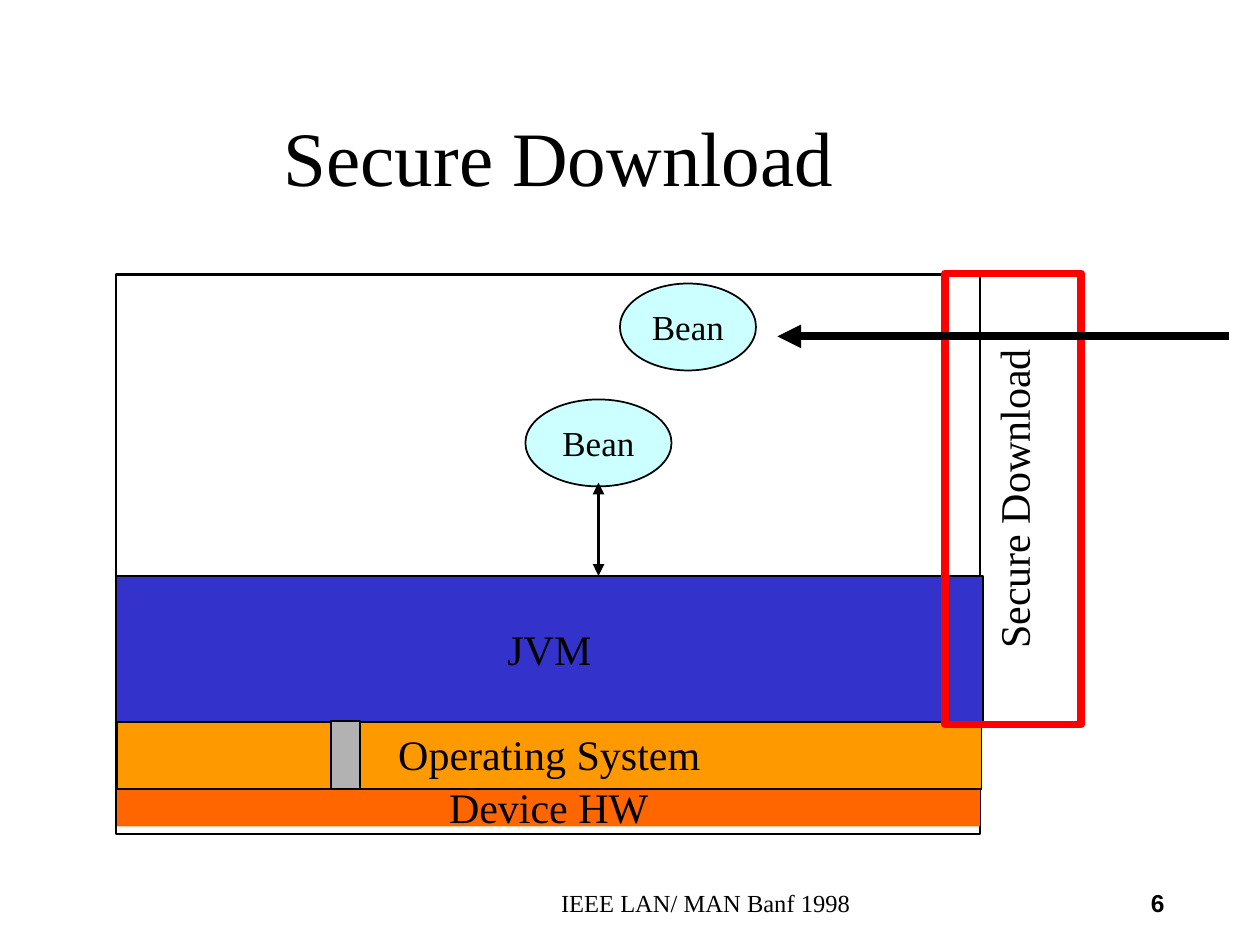
import pptx
import pptx.dml.color
import pptx.enum.shapes
import pptx.enum.text
import pptx.oxml.ns
import pptx.util
from lxml import etree

Inches, Pt = pptx.util.Inches, pptx.util.Pt
SHAPE = pptx.enum.shapes.MSO_SHAPE
ALIGN = pptx.enum.text.PP_ALIGN
ANCHOR = pptx.enum.text.MSO_ANCHOR
COLORS = {
    "black": "000000", "red": "FF0000", "hardware": "FF6600",
    "system": "FF9900", "jvm": "3333CC", "bean": "CCFFFF", "gray": "B2B2B2",
}


class SlideBuilder:
    """Holds the slide and its style, and draws each kind of element."""

    def __init__(self, s, font="Times New Roman"):
        self.s = s
        self.font = font

    def color(self, name):
        return pptx.dml.color.RGBColor.from_string(COLORS[name])

    def set_text(self, sp, text, size, anchor, align=ALIGN.CENTER, wrap=False,
                 font=None, bold=False, inset=0.1, spacing=None):
        tf = sp.text_frame
        tf.word_wrap = wrap
        tf.vertical_anchor = anchor
        tf.margin_left = tf.margin_right = Inches(inset)
        tf.margin_top = tf.margin_bottom = Inches(0.05)
        tf.text = text
        p = tf.paragraphs[0]
        p.alignment = align
        if spacing:
            p.line_spacing = spacing
        for r in p.runs:
            r.font.name = font or self.font
            r.font.size = Pt(size)
            r.font.bold = bold
            r.font.color.rgb = self.color("black")

    def text(self, box, text, size, anchor=ANCHOR.TOP, **style):
        sp = self.s.shapes.add_textbox(*map(Inches, box))
        self.set_text(sp, text, size, anchor, **style)

    def shape(self, box, text="", fill=None, line="black", width=1,
              kind=SHAPE.RECTANGLE, size=24, rotation=0):
        sp = self.s.shapes.add_shape(kind, *map(Inches, box))
        sp.shadow.inherit = False
        sp.rotation = rotation
        if fill:
            sp.fill.solid()
            sp.fill.fore_color.rgb = self.color(fill)
        else:
            sp.fill.background()
        if line:
            sp.line.color.rgb = self.color(line)
            sp.line.width = Pt(width)
        else:
            sp.line.fill.background()
        if text:
            self.set_text(sp, text, size, ANCHOR.MIDDLE)

    def arrow(self, start, end, width, heads=("tailEnd",)):
        cx = self.s.shapes.add_connector(
            pptx.enum.shapes.MSO_CONNECTOR.STRAIGHT, *map(Inches, start + end))
        cx.line.color.rgb = self.color("black")
        cx.line.width = Pt(width)
        qn = pptx.oxml.ns.qn
        ln = cx.element.spPr.find(qn("a:ln"))
        for head in heads:
            etree.SubElement(ln, qn("a:" + head), type="triangle")
        etree.SubElement(cx.element.spPr, qn("a:effectLst"))


def main():
    prs = pptx.Presentation()
    prs.slide_width, prs.slide_height = Inches(10), Inches(7.5)
    b = SlideBuilder(prs.slides.add_slide(prs.slide_layouts[6]))

    b.text((8.67, 7, 0.67, 0.33), "6", 14, ANCHOR.MIDDLE,
           align=ALIGN.RIGHT, font="Arial", bold=True)
    b.text((3.25, 7, 4.75, 0.5), "IEEE LAN/ MAN Banf 1998 ", 14, wrap=True)
    b.text((0.18, 0.61, 8.51, 1.06), "Secure Download", 44, ANCHOR.BOTTOM,
           wrap=True, inset=0.05, spacing=0.93)

    b.shape((0.92, 2.18, 6.86, 4.44), width=1.5)
    b.shape((0.93, 6.25, 6.85, 0.31), "Device HW", "hardware", line=None)
    b.shape((0.93, 5.7, 6.86, 0.56), "Operating System", "system")
    b.shape((0.92, 4.57, 6.88, 1.16), "JVM", "jvm")
    for bean in ((4.92, 2.25, 1.08, 0.69), (4.17, 3.17, 1.16, 0.69)):
        b.shape(bean, "Bean", "bean", kind=SHAPE.OVAL, size=20)
    b.arrow((4.75, 3.83), (4.75, 4.57), 2.25, ("headEnd", "tailEnd"))
    b.shape((2.63, 5.72, 0.23, 0.54), fill="gray")
    b.shape((6.25, 3.42, 3.58, 1.08), "Secure Download", line="red",
            width=4.5, rotation=270)
    b.arrow((9.75, 2.67), (6.17, 2.67), 4.5)

    prs.save("out.pptx")


if __name__ == "__main__":
    main()
